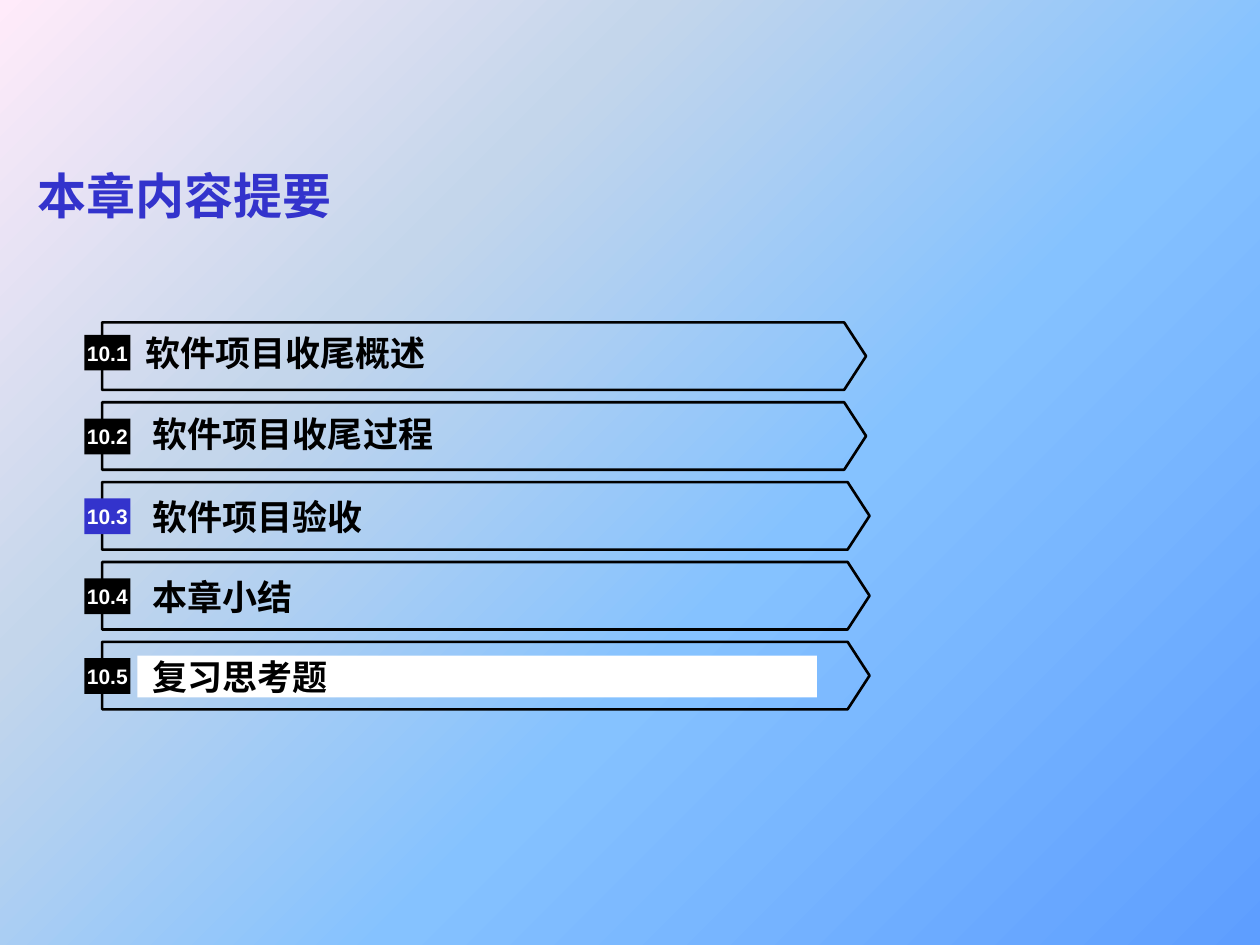
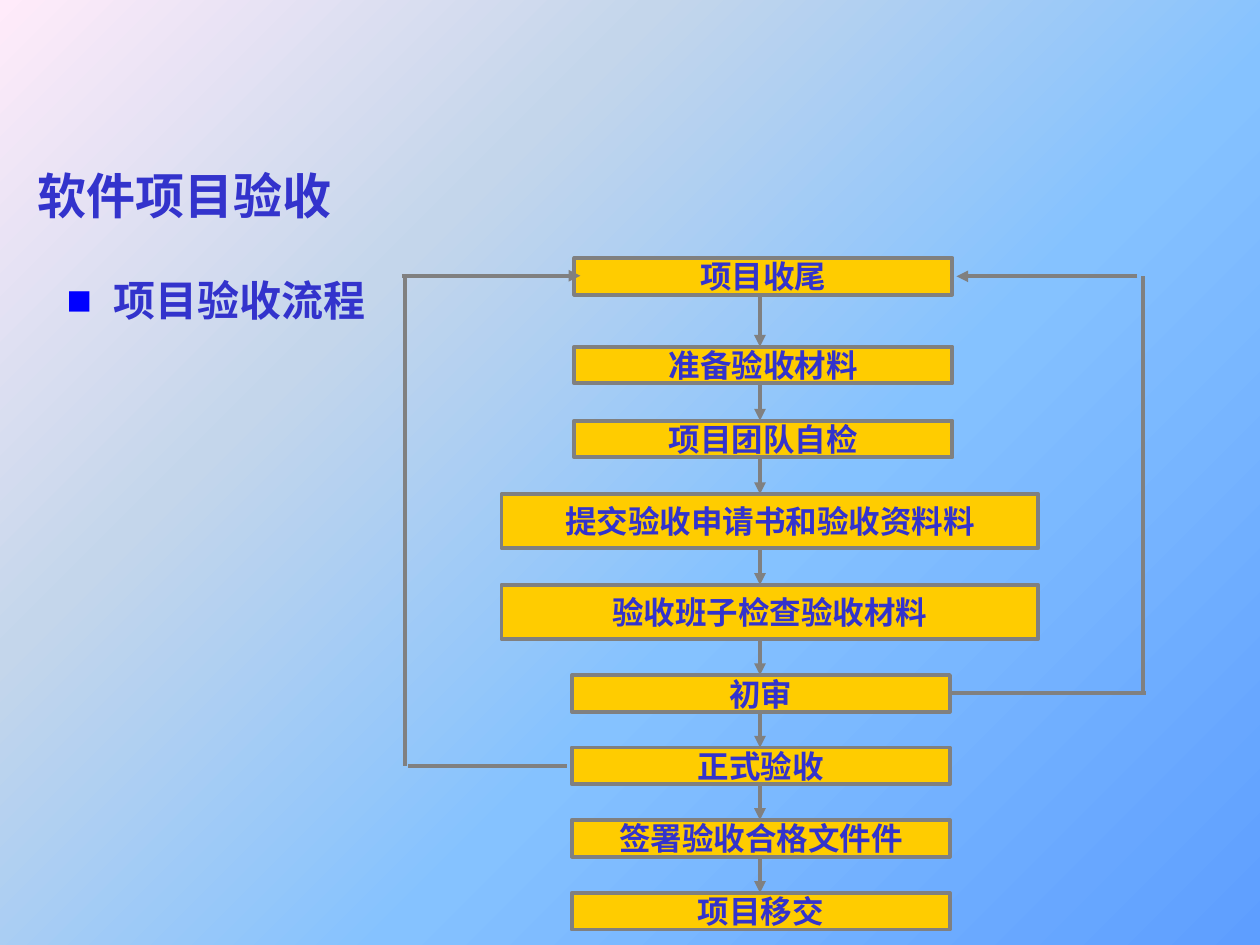
from lxml.etree import SubElement
from pptx import Presentation
from pptx.dml.color import RGBColor
from pptx.enum.shapes import MSO_CONNECTOR as Link, MSO_SHAPE as Form
from pptx.enum.text import MSO_ANCHOR as Anchor, PP_ALIGN as Align
from pptx.oxml.ns import qn
from pptx.util import Cm, Pt

HUES = {
    "blue": "3333CC", "mark": "0000FF", "gold": "FFCC00",
    "grey": "808080", "black": "000000", "white": "FFFFFF",
}
STOPS = [(0, "5E9EFF"), (40, "85C2FF"), (70, "C4D6EB"), (100, "FFEBFA")]
SANS, SERIF, HAN = "Arial", "Times New Roman", "Noto Sans CJK SC"


class Deck:
    """Holds the shared style and the current slide; lengths are in centimetres."""

    def __init__(self):
        self.prs = Presentation()
        self.prs.slide_width, self.prs.slide_height = Cm(25.4), Cm(19.05)
        self.slide = None
        master = self.prs.slide_master
        fill = master.background.fill
        fill.gradient()
        fill.gradient_angle = 135
        stops = next(master.element.iter(qn("a:gsLst")))
        stops.clear()
        for pos, hue in STOPS:
            stop = SubElement(stops, qn("a:gs"), pos=str(pos * 1000))
            SubElement(stop, qn("a:srgbClr"), val=hue)

    def hue(self, name):
        return RGBColor.from_string(HUES[name])

    def place(self, shape, left, top, width, height):
        shape.left, shape.top = Cm(left), Cm(top)
        shape.width, shape.height = Cm(width), Cm(height)

    def style(self, para, size, hue, face=SANS, align=Align.LEFT):
        para.alignment = align
        para.space_before = Pt(0)
        font = para.font
        font.size, font.bold, font.name = Pt(size), True, face
        font.color.rgb = self.hue(hue)
        base = next(para._p.iter(qn("a:defRPr")))
        SubElement(base, qn("a:ea"), typeface=HAN)

    def page(self, title, layout):
        self.slide = self.prs.slides.add_slide(self.prs.slide_layouts[layout])
        head = self.slide.shapes.title
        self.place(head, 0.51, 2.92, 24.4, 2)
        head.text_frame.text = title
        head.text_frame.vertical_anchor = Anchor.MIDDLE
        self.style(head.text_frame.paragraphs[0], 28, "blue")

    def bullet(self, text):
        body = self.slide.placeholders[1]
        self.place(body, 1.09, 5.41, 23.8, 13.64)
        body.text_frame.text = text
        para = body.text_frame.paragraphs[0]
        props = para._p.get_or_add_pPr()
        props.set("marL", str(Cm(0.95)))
        props.set("indent", str(Cm(-0.95)))
        tint = SubElement(props, qn("a:buClr"))
        SubElement(tint, qn("a:srgbClr"), val=HUES["mark"])
        SubElement(props, qn("a:buFont"), typeface=SANS)
        SubElement(props, qn("a:buChar"), char="■")
        self.style(para, 24, "blue")

    def shape(self, form, left, top, width, height, fill=None, line=None, weight=1):
        item = self.slide.shapes.add_shape(
            form, Cm(left), Cm(top), Cm(width), Cm(height))
        item.shadow.inherit = False
        if fill:
            item.fill.solid()
            item.fill.fore_color.rgb = self.hue(fill)
        else:
            item.fill.background()
        if line:
            item.line.color.rgb = self.hue(line)
            item.line.width = Pt(weight)
        else:
            item.line.fill.background()
        return item

    def label(self, shape, text, size, hue, face=SANS, align=Align.CENTER, inset=0):
        frame = shape.text_frame
        frame.word_wrap = True
        frame.vertical_anchor = Anchor.MIDDLE
        frame.margin_left = Cm(inset)
        frame.margin_right = frame.margin_top = frame.margin_bottom = 0
        frame.text = text
        self.style(frame.paragraphs[0], size, hue, face, align)

    def text(self, left, top, width, height, text, inset, fill=None):
        if fill:
            box = self.shape(Form.RECTANGLE, left, top, width, height, fill)
        else:
            box = self.slide.shapes.add_textbox(
                Cm(left), Cm(top), Cm(width), Cm(height))
        self.label(box, text, 20, "black", align=Align.LEFT, inset=inset)

    def line(self, ax, ay, bx, by, arrow=False):
        link = self.slide.shapes.add_connector(
            Link.STRAIGHT, Cm(ax), Cm(ay), Cm(bx), Cm(by))
        link.line.color.rgb = self.hue("grey")
        link.line.width = Pt(2.25)
        if arrow:
            SubElement(link.line._get_or_add_ln(), qn("a:tailEnd"), type="triangle")
        SubElement(link._element.spPr, qn("a:effectLst"))


def outline(deck):
    deck.page("本章内容提要", 5)
    rows = [
        ("软件项目收尾概述", 15.4, 0.18, 0.25, 0.16),
        ("软件项目收尾过程", 15.4, 0.2, 0.33, 0.31),
        ("软件项目验收", 15.47, 0.28, 0.33, 0.31),
        ("本章小结", 15.47, 0.28, 0.33, 0.31),
        ("复习思考题", 15.47, 0.28, 0.33, 0.31),
    ]
    now, last = 3, len(rows)
    for num, (name, width, drop, dip, inset) in enumerate(rows, 1):
        top = 6.5 + 1.61 * (num - 1)
        band = deck.shape(Form.PENTAGON, 2.06, top, width, 1.36, None, "black", 1.5)
        band.adjustments[0] = 0.325
        deck.text(2.77, top + drop, 13.7, 0.84, name, inset,
                  "white" if num == last else None)
        tag = deck.shape(Form.RECTANGLE, 1.7, top + dip, 0.93, 0.72,
                         "blue" if num == now else "black")
        deck.label(tag, f"10.{num}", 12, "white")


def flow(deck):
    deck.page("软件项目验收", 1)
    deck.bullet("项目验收流程")
    high, wide = (11.58, 7.62, 0.74), (10.11, 10.82, 1.09)
    low = (11.53, 7.62, 0.74)
    steps = [
        ("项目收尾", 5.2, high),
        ("准备验收材料", 6.99, high),
        ("项目团队自检", 8.48, high),
        ("提交验收申请书和验收资料料", 9.96, wide),
        ("验收班子检查验收材料", 11.79, wide),
        ("初审", 13.61, low),
        ("正式验收", 15.07, low),
        ("签署验收合格文件件", 16.53, low),
        ("项目移交", 18, low),
    ]
    for name, top, (left, width, height) in steps:
        box = deck.shape(Form.RECTANGLE, left, top, width, height,
                         "gold", "grey", 2.25)
        deck.label(box, name, 18, "blue", SERIF)
    for (_, top, size), (_, end, _) in zip(steps, steps[1:]):
        deck.line(15.32, top + size[2], 15.32, end, True)
    loops = [
        (22.93, 5.57, 19.28, 5.57, True),
        (23.04, 5.57, 23.04, 13.97),
        (19.2, 13.97, 23.11, 13.97),
        (8.1, 5.56, 11.7, 5.56, True),
        (8.16, 5.56, 8.16, 15.44),
        (8.22, 15.44, 11.42, 15.44),
    ]
    for loop in loops:
        deck.line(*loop)


def main():
    deck = Deck()
    outline(deck)
    flow(deck)
    deck.prs.save("out.pptx")


if __name__ == "__main__":
    main()
